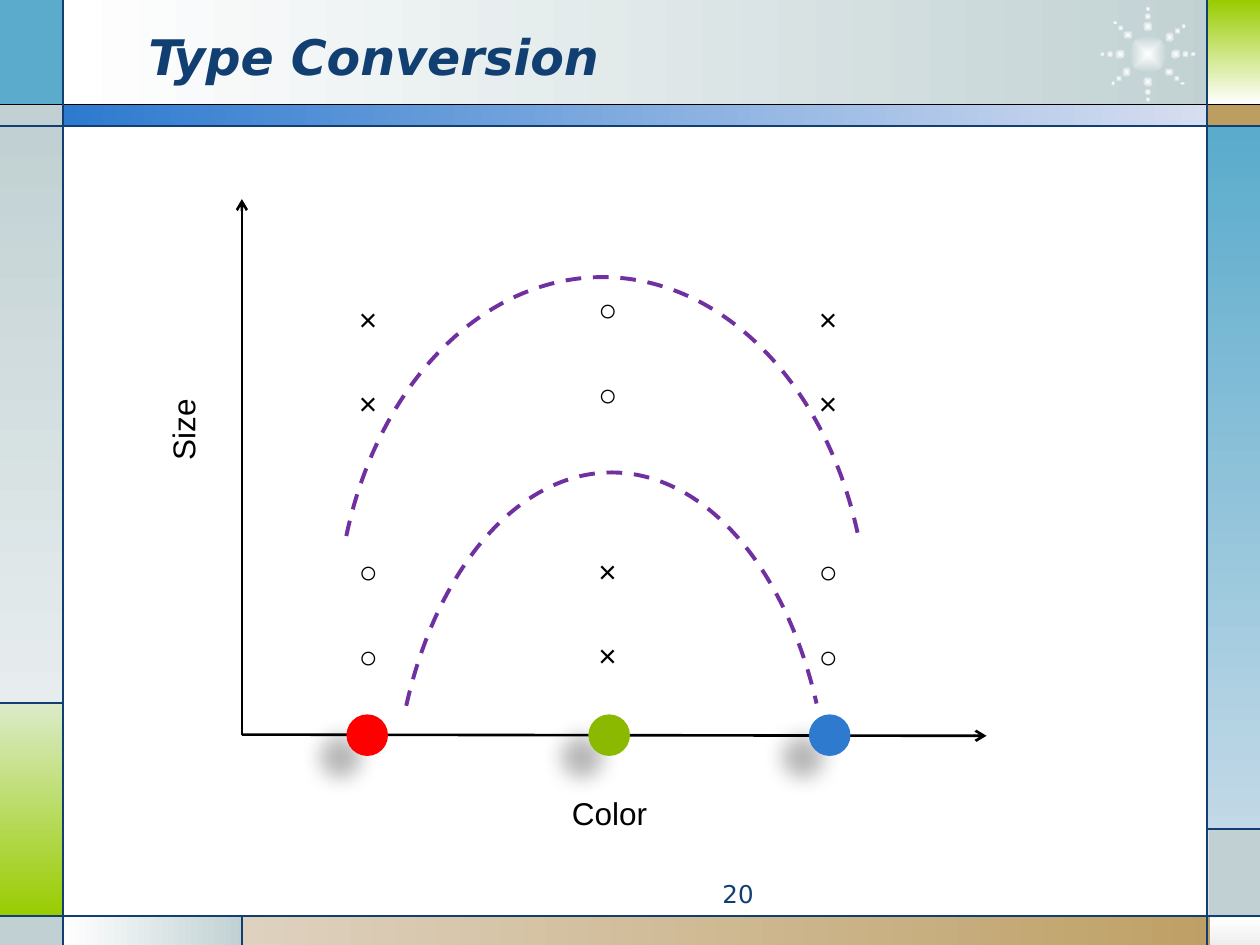
from dataclasses import dataclass, field
from math import cos, radians, sin

from lxml.etree import SubElement as Sub
from pptx import Presentation as Deck
from pptx.dml.color import RGBColor as Rgb
from pptx.enum.dml import MSO_LINE_DASH_STYLE as Dash
from pptx.enum.shapes import MSO_AUTO_SHAPE_TYPE as Kind
from pptx.enum.shapes import MSO_CONNECTOR_TYPE as Link
from pptx.enum.text import MSO_AUTO_SIZE as Fit
from pptx.enum.text import MSO_VERTICAL_ANCHOR as Anchor
from pptx.enum.text import PP_PARAGRAPH_ALIGNMENT as Align
from pptx.oxml.ns import qn
from pptx.shapes.autoshape import Shape
from pptx.shapes.shapetree import SlideShapes as Tree
from pptx.util import Inches, Pt

NAVY, BLACK, WHITE, MIST = "113F71", "000000", "FFFFFF", "C1D1D3"
SKY, LIME, TAN, BLUE = "5AABCC", "99CC00", "BD9E61", "2D7ACF"
Box = tuple[float, float, float, float]


@dataclass
class Panel:
    box: Box
    fill: str
    end: str = ""
    down: bool = False


@dataclass
class Rule:
    ends: Box
    tint: str = NAVY
    width: float = 0.75
    arrow: bool = False


@dataclass
class Label:
    text: str
    box: Box
    font: dict = field(default_factory=lambda: {"name": "Arial", "size": Pt(18)})
    tint: str = BLACK
    frame: dict = field(default_factory=lambda: {"word_wrap": False, "auto_size": Fit.SHAPE_TO_FIT_TEXT})
    align: Align = Align.LEFT
    turned: bool = False


@dataclass
class Arc:
    box: Box
    start: float
    stop: float


PANELS = [
    Panel((0.5, 0, 9.27, 0.84), WHITE, MIST),
    Panel((0, 0, 0.5, 0.84), SKY),
    Panel((0, 0.83, 0.5, 0.17), MIST),
    Panel((0, 1, 0.5, 4.58), MIST, "E7EDEE", True),
    Panel((0, 5.58, 0.5, 1.69), "DBEBC9", LIME, True),
    Panel((0, 7.28, 0.5, 0.23), MIST),
    Panel((0.5, 7.27, 1.43, 0.24), WHITE, MIST),
    Panel((1.92, 7.27, 8.08, 0.24), "DED1BF", TAN),
    Panel((9.6, 7.28, 0.4, 0.23), WHITE, "EDEDED", True),
    Panel((9.59, 6.58, 0.41, 0.7), MIST),
    Panel((9.58, 1, 0.42, 5.58), SKY, "C2D9E7", True),
    Panel((9.58, 0.83, 0.42, 0.17), TAN),
    Panel((9.59, 0, 0.41, 0.83), LIME, WHITE, True),
    Panel((0.5, 0.83, 9.09, 0.17), BLUE, "D7DEF0"),
]
RULES = [
    Rule((0, 0.83, 10, 0.83), BLACK),
    Rule((0, 1, 10, 1)),
    Rule((0, 7.27, 10, 7.27)),
    Rule((0.5, 0, 0.5, 7.5)),
    Rule((9.58, 0, 9.58, 7.5)),
    Rule((0.5, 5.58, 0, 5.58)),
    Rule((1.92, 7.27, 1.92, 7.5)),
    Rule((9.58, 6.58, 10, 6.58)),
]
AXES = [
    Rule((1.92, 5.83, 7.83, 5.84), BLACK, 1.5, True),
    Rule((1.92, 5.83, 1.92, 1.58), BLACK, 1.5, True),
]
HEADS = [
    Label("Type Conversion", (1.08, 0.13, 7.33, 0.62),
          {"name": "DejaVu Sans", "size": Pt(28), "bold": True, "italic": True}, NAVY,
          {"word_wrap": True, "vertical_anchor": Anchor.MIDDLE}),
    Label("20", (3.75, 6.93, 2.33, 0.27), {"name": "DejaVu Sans", "size": Pt(14)}, NAVY,
          {"word_wrap": True}, Align.RIGHT),
]
BALLS = {2.75: "FF0000", 4.67: "8AB900", 6.42: BLUE}
OUTER = (("×", 2.33), ("×", 3), ("○", 4.33), ("○", 5.01))
INNER = (("○", 2.25), ("○", 2.93), ("×", 4.33), ("×", 5))
MARKS = {2.75: OUTER, 6.4: OUTER, 4.65: INNER}
ARCS = [
    Arc((2.67, 2.2, 4.22, 5.63), 120.31, 203.27),
    Arc((3.12, 3.75, 3.47, 5.63), 126.34, 197.34),
]
SUN = (9.11, 0.43)
SPOKES = (0, 40, 90, 140, 180, 224, 270, 322)
DOTS = ((0.22, 0.08, 0.07), (0.3, 0.05, 0.05), (0.36, 0.04, 0.03))


def paint(part, tint: str) -> None:
    part.rgb = Rgb.from_string(tint)


def scale(box: Box) -> list[Inches]:
    return [Inches(size) for size in box]


def apply(part, style: dict) -> None:
    for name, value in style.items():
        setattr(part, name, value)


def add_form(tree: Tree, kind: Kind, box: Box, fill: str = "", end: str = "", down: bool = False) -> Shape:
    form = tree.add_shape(kind, *scale(box))
    form.shadow.inherit = False
    form.line.fill.background()
    if end:
        form.fill.gradient()
        form.fill.gradient_angle = 270 if down else 0
        for stop, tint in zip(form.fill.gradient_stops, (fill, end)):
            paint(stop.color, tint)
    elif fill:
        form.fill.solid()
        paint(form.fill.fore_color, fill)
    else:
        form.fill.background()
    return form


def add_dot(tree: Tree, x: float, y: float, wide: float, high: float, turn: float) -> None:
    dot = add_form(tree, Kind.OVAL, (x - wide / 2, y - high / 2, wide, high), WHITE, MIST)
    dot.rotation = turn
    grad = dot.element.spPr.find(qn("a:gradFill"))
    grad.remove(grad.find(qn("a:lin")))
    glow = Sub(grad, qn("a:path"), {"path": "shape"})
    Sub(glow, qn("a:fillToRect"), dict.fromkeys("ltrb", "50000"))


def add_sun(tree: Tree) -> None:
    x, y = SUN
    add_dot(tree, x, y, 0.3, 0.3, 2.5)
    for turn in SPOKES:
        for reach, wide, high in DOTS:
            angle = radians(turn)
            add_dot(tree, x + reach * cos(angle), y + reach * sin(angle), wide, high, (turn - 37) % 360)


def add_rule(tree: Tree, rule: Rule) -> None:
    line = tree.add_connector(Link.STRAIGHT, *scale(rule.ends))
    paint(line.line.color, rule.tint)
    line.line.width = Pt(rule.width)
    if rule.arrow:
        Sub(line.line._get_or_add_ln(), qn("a:tailEnd"), {"type": "arrow"})
    Sub(line.element.spPr, qn("a:effectLst"))


def add_ball(tree: Tree, x: float, tint: str) -> None:
    ball = add_form(tree, Kind.OVAL, (x, 5.67, 0.33, 0.33), tint)
    shade = Sub(ball.element.spPr.find(qn("a:effectLst")), qn("a:outerShdw"), {
        "blurRad": str(Pt(11.8)), "dist": str(Pt(19.7)),
        "dir": str(141 * 60000), "algn": "ctr", "rotWithShape": "0"})
    tone = Sub(shade, qn("a:srgbClr"), {"val": BLACK})
    Sub(tone, qn("a:alpha"), {"val": "28000"})


def add_label(tree: Tree, label: Label) -> None:
    box = tree.add_textbox(*scale(label.box))
    frame = box.text_frame
    apply(frame, label.frame)
    para = frame.paragraphs[0]
    para.alignment = label.align
    run = para.add_run()
    run.text = label.text
    apply(run.font, label.font)
    paint(run.font.color, label.tint)
    if label.turned:
        box.rotation = 180
        box.element.txBody.find(qn("a:bodyPr")).set("vert", "eaVert")


def add_arc(tree: Tree, arc: Arc) -> None:
    form = add_form(tree, Kind.ARC, arc.box)
    form.adjustments[0], form.adjustments[1] = arc.start, arc.stop
    paint(form.line.color, "7030A0")
    apply(form.line, {"width": Pt(2.25), "dash_style": Dash.DASH})


def main() -> None:
    deck = Deck()
    apply(deck, {"slide_width": Inches(10), "slide_height": Inches(7.5)})
    tree = deck.slides.add_slide(deck.slide_layouts[6]).shapes
    for panel in PANELS:
        add_form(tree, Kind.RECTANGLE, panel.box, panel.fill, panel.end, panel.down)
    add_sun(tree)
    for rule in RULES:
        add_rule(tree, rule)
    for label in HEADS:
        add_label(tree, label)
    for rule in AXES:
        add_rule(tree, rule)
    for x, tint in BALLS.items():
        add_ball(tree, x, tint)
    add_label(tree, Label("Size", (1.25, 3.16, 0.5, 0.59), turned=True))
    for x, marks in MARKS.items():
        for text, y in marks:
            add_label(tree, Label(text, (x, y, 0.35, 0.4)))
    add_label(tree, Label("Color", (4.44, 6.25, 0.81, 0.4)))
    for arc in ARCS:
        add_arc(tree, arc)
    deck.save("out.pptx")


if __name__ == "__main__":
    main()
